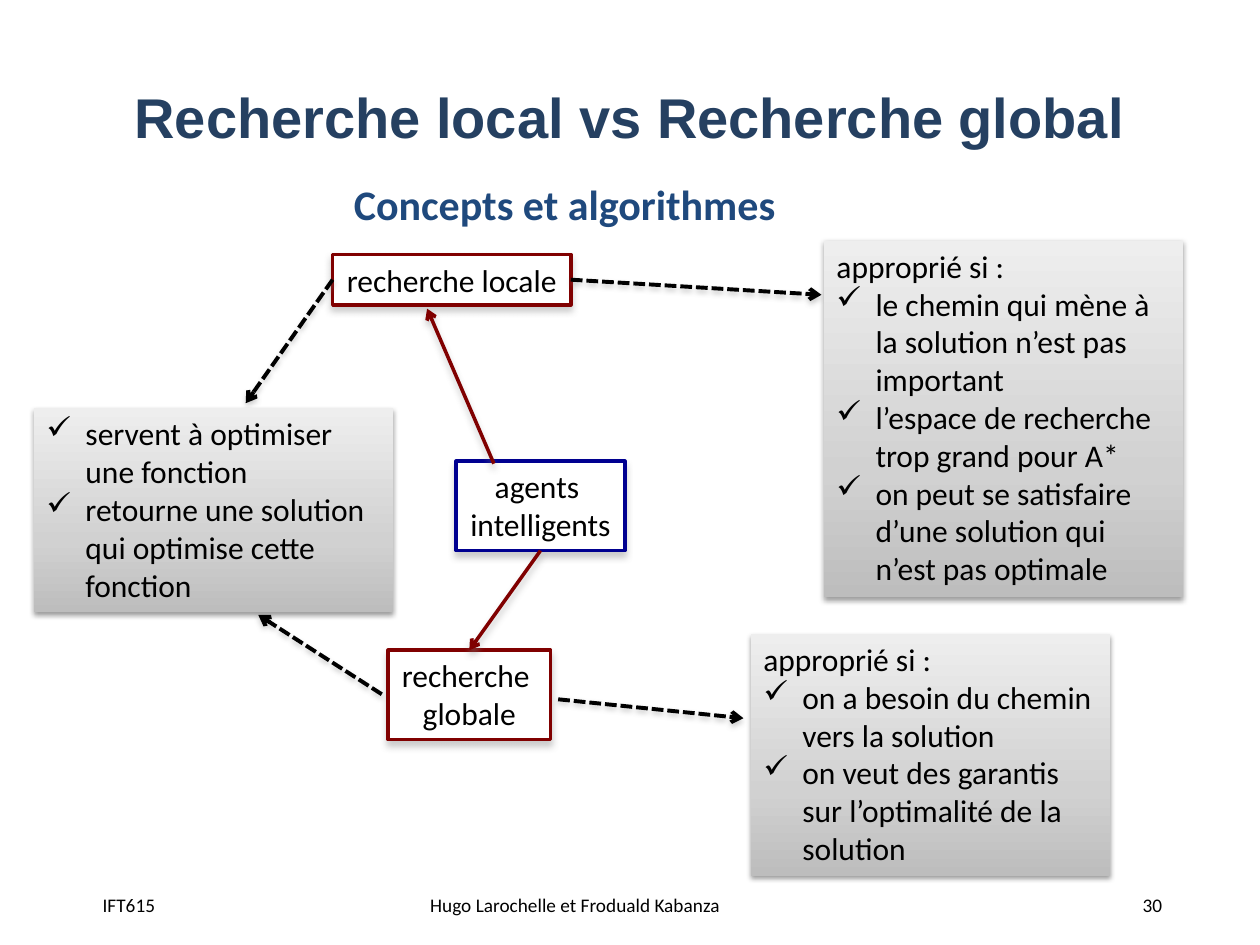
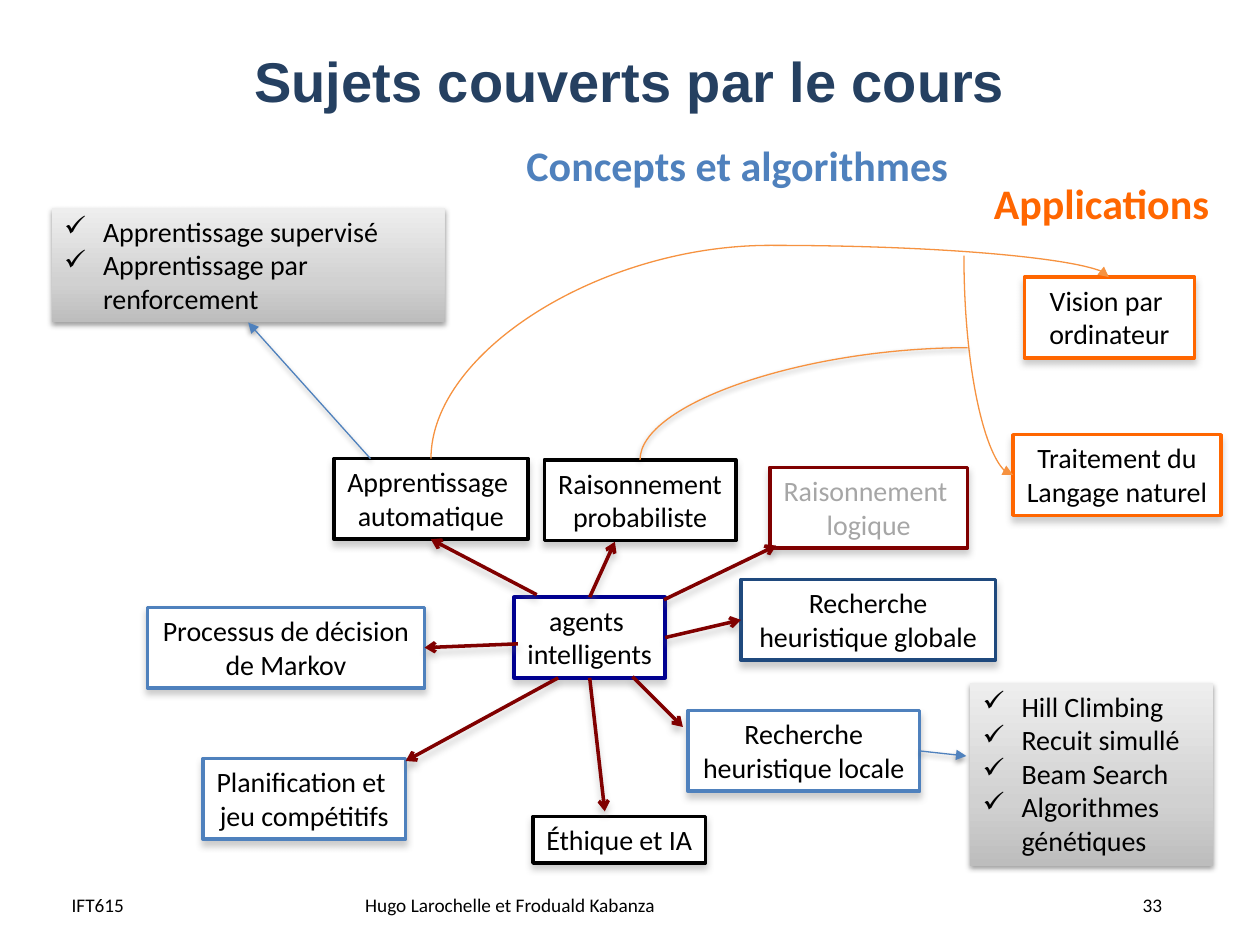
import copy
import math

from lxml import etree
from pptx import Presentation
from pptx.dml.color import RGBColor
from pptx.enum import dml, shapes, text
from pptx.oxml import ns
from pptx.util import Inches, Pt

BLACK = RGBColor(0x00, 0x00, 0x00)
WHITE = RGBColor(0xFF, 0xFF, 0xFF)
GREY = RGBColor(0xA6, 0xA6, 0xA6)
TITLE_BLUE = RGBColor(0x25, 0x40, 0x61)
DARK_BLUE = RGBColor(0x1F, 0x49, 0x7D)
BLUE = RGBColor(0x4F, 0x81, 0xBD)
NAVY = RGBColor(0x00, 0x00, 0x90)
MAROON = RGBColor(0x80, 0x00, 0x00)
ORANGE = RGBColor(0xFF, 0x66, 0x00)
LIGHT_ORANGE = RGBColor(0xF6, 0x92, 0x40)
NOTE_STOPS = [(0, RGBColor(0xBD, 0xBD, 0xBD)), (0.35, RGBColor(0xD1, 0xD1, 0xD1)),
              (1, RGBColor(0xEE, 0xEE, 0xEE))]

# Shadows: colour, opacity in percent, blur and distance in points
BOX_SHADOW = ("808080", 40, 4, 3)
DASH_SHADOW = ("808080", 38, 3.1, 1.6)
NOTE_SHADOW = ("000000", 38, 3.1, 1.6)

# Link styles
BRANCH = dict(color=MAROON, width=2, head="arrow", shadow=BOX_SHADOW)
DASHED = dict(color=BLACK, width=2.25, head="arrow", shadow=DASH_SHADOW, dashed=True)
DETAIL = dict(color=BLUE, width=0.75, head="triangle", shadow=NOTE_SHADOW)

TOP, LEFT, BOTTOM, RIGHT = range(4)
ALIGN_LEFT, CENTER, ALIGN_RIGHT = (
    text.PP_ALIGN.LEFT, text.PP_ALIGN.CENTER, text.PP_ALIGN.RIGHT)


def sub(parent, tag, **attributes):
    return etree.SubElement(parent, ns.qn(tag), attributes)


def add_shadow(properties, shadow):
    """Fill the effect list of a shape; none leaves it without a shadow."""
    effects = properties.find(ns.qn("a:effectLst"))
    if effects is None:
        effects = sub(properties, "a:effectLst")
    if shadow:
        color, opacity, blur, distance = shadow
        outer = sub(effects, "a:outerShdw", blurRad=str(Pt(blur)), dist=str(Pt(distance)),
                    dir="5400000", rotWithShape="0")
        sub(sub(outer, "a:srgbClr", val=color), "a:alpha", val=str(opacity * 1000))


def add_span(para, words, size, color, bold=False, face="Calibri"):
    for index, line in enumerate(words.split("\n")):
        if index:
            para.add_line_break()
        span = para.add_run()
        span.text = line
        span.font.name, span.font.size, span.font.bold = face, Pt(size), bold
        span.font.color.rgb = color


def paragraphs(frame, lines):
    for index, line in enumerate(lines):
        yield (frame.add_paragraph() if index else frame.paragraphs[0]), line


def label(page, place, words, size, color, align=ALIGN_LEFT, bold=False,
          face="Calibri", anchor=text.MSO_ANCHOR.TOP, wrap=True):
    frame = page.shapes.add_textbox(*map(Inches, place)).text_frame
    frame.word_wrap, frame.vertical_anchor = wrap, anchor
    frame.paragraphs[0].alignment = align
    add_span(frame.paragraphs[0], words, size, color, bold, face)


def rectangle(page, place, shadow, wrap):
    box = page.shapes.add_shape(shapes.MSO_SHAPE.RECTANGLE, *map(Inches, place))
    box.shadow.inherit = False
    add_shadow(box._element.spPr, shadow)
    box.text_frame.word_wrap = wrap
    box.text_frame.vertical_anchor = text.MSO_ANCHOR.TOP
    return box


def topic(page, place, lines, edge, size=16, color=BLACK, wrap=False):
    """White framed box with centred lines."""
    box = rectangle(page, place, BOX_SHADOW, wrap)
    box.fill.solid()
    box.fill.fore_color.rgb = WHITE
    box.line.color.rgb, box.line.width = edge, Pt(2)
    for para, line in paragraphs(box.text_frame, lines):
        para.alignment = CENTER
        add_span(para, line, size, color)
    return box


def note(page, place, items, size=16, heading=None):
    """Grey gradient box with an optional heading and ticked items."""
    box = rectangle(page, place, NOTE_SHADOW, True)
    box.line.fill.background()
    box.fill.gradient()
    box.fill.gradient_angle = 90
    stop_list = next(box._element.spPr.iter(ns.qn("a:gsLst")))
    stop_list.insert(1, copy.deepcopy(stop_list[0]))
    for stop, (position, color) in zip(box.fill.gradient_stops, NOTE_STOPS):
        stop.position, stop.color.rgb = position, color
    lines = ([heading] if heading else []) + items
    for para, line in paragraphs(box.text_frame, lines):
        para.alignment = ALIGN_LEFT
        if line != heading:
            settings = para._p.get_or_add_pPr()
            settings.set("marL", str(Inches(0.31)))
            settings.set("indent", str(Inches(-0.31)))
            sub(settings, "a:buChar", char="✓")
        add_span(para, line, size, BLACK)
    return box


def style_line(line, color, width, head=None, shadow=None, dashed=False):
    line.line.color.rgb, line.line.width = color, Pt(width)
    if dashed:
        line.line.dash_style = dml.MSO_LINE.SQUARE_DOT
    if head:
        sub(line.line._get_or_add_ln(), "a:tailEnd", type=head)
    add_shadow(line._element.spPr, shadow)


def link(page, start, end, style):
    """Straight arrow; each end is a point (x, y) or a (box, side) pair."""
    joined = [isinstance(tip[1], int) for tip in (start, end)]
    points = [(0, 0) if fixed else tip for tip, fixed in zip((start, end), joined)]
    line = page.shapes.add_connector(
        shapes.MSO_CONNECTOR.STRAIGHT, *map(Inches, points[0] + points[1]))
    if joined[0]:
        line.begin_connect(*start)
    if joined[1]:
        line.end_connect(*end)
    style_line(line, **style)


def curve(page, start, end, turn, bend=None, head="triangle", shadow=None):
    """Curved link turned by 90 or 270 degrees; bend gives it a middle crest."""
    middle_x, middle_y = (start[0] + end[0]) / 2, (start[1] + end[1]) / 2
    cos, sin = round(math.cos(math.radians(turn))), round(math.sin(math.radians(turn)))

    def unturned(point):
        dx, dy = point[0] - middle_x, point[1] - middle_y
        return middle_x + dx * cos + dy * sin, middle_y - dx * sin + dy * cos

    line = page.shapes.add_connector(
        shapes.MSO_CONNECTOR.CURVE, *map(Inches, unturned(start) + unturned(end)))
    properties = line._element.spPr
    properties.find(ns.qn("a:xfrm")).set("rot", str(turn * 60000))
    geometry = properties.find(ns.qn("a:prstGeom"))
    if bend is None:
        geometry.set("prst", "curvedConnector2")
    else:
        guides = geometry.find(ns.qn("a:avLst"))
        if guides is None:
            guides = sub(geometry, "a:avLst")
        sub(guides, "a:gd", name="adj1", fmla=f"val {round(bend * 100000)}")
    style_line(line, LIGHT_ORANGE, 0.75, head, shadow)


def start_page(deck, title, title_height, number, code_align, authors_align):
    page = deck.slides.add_slide(deck.slide_layouts[6])
    label(page, (0.5, 0.3, 9, title_height), title, 32, TITLE_BLUE, CENTER, True,
          "Arial", text.MSO_ANCHOR.MIDDLE)
    for left, width, words, align in [
            (2.8, 3.53, "Hugo Larochelle et Froduald Kabanza", authors_align),
            (0.47, 0.86, "IFT615", code_align),
            (8.97, 0.57, number, ALIGN_LEFT)]:
        label(page, (left, 7.04, width, 0.4), words, 11, BLACK, align)
    return page


def heading(page, left, top, width, words, color):
    label(page, (left, top, width, 0.5), words, 24, color, bold=True, wrap=False)


def search_page(deck):
    page = start_page(deck, "Recherche local vs Recherche global", 1.25, "30",
                      ALIGN_RIGHT, CENTER)
    heading(page, 2.71, 1.37, 3.58, "Concepts et algorithmes", DARK_BLUE)

    # Agents and the two kinds of search
    agents = topic(page, (3.62, 3.66, 1.34, 0.71), ["agents ", "intelligents"], NAVY, 18)
    global_search = topic(page, (3.08, 5.16, 1.29, 0.71), ["recherche ", "globale"],
                          MAROON, 18)
    local_search = topic(page, (2.64, 2.02, 1.89, 0.4), ["recherche locale"], MAROON, 18)
    link(page, (3.92, 3.68), (3.39, 2.45), BRANCH)
    link(page, (agents, BOTTOM), (global_search, TOP), BRANCH)

    # Properties of each search
    link(page, (local_search, LEFT), (1.95, 3.2), DASHED)
    link(page, (3.03, 5.51), (2.05, 4.88), DASHED)
    note(page, (0.27, 3.24, 2.85, 1.62),
         ["servent à optimiser \nune fonction",
          "retourne une solution\nqui optimise cette fonction"], 18)
    link(page, (local_search, RIGHT), (6.52, 2.34), DASHED)
    note(page, (6.54, 1.91, 2.85, 2.83),
         ["le chemin qui mène à la solution n’est pas important",
          "l’espace de recherche trop grand pour A*",
          "on peut se satisfaire d’une solution qui n’est pas optimale"],
         18, "approprié si :")
    note(page, (5.96, 5.03, 2.85, 1.92),
         ["on a besoin du chemin vers la solution",
          "on veut des garantis sur l’optimalité de la solution"], 18, "approprié si :")
    link(page, (4.43, 5.55), (5.9, 5.7), DASHED)


def topics_page(deck):
    page = start_page(deck, "Sujets couverts par le cours", 0.67, "33",
                      ALIGN_LEFT, ALIGN_LEFT)
    heading(page, 7.79, 1.36, 1.93, "Applications", ORANGE)
    heading(page, 4.08, 1.06, 3.58, "Concepts et algorithmes", BLUE)

    # Course topics
    agents = topic(page, (4.08, 4.74, 1.2, 0.64), ["agents ", "intelligents"], NAVY)
    topic(page, (6.11, 3.71, 1.57, 0.64), ["Raisonnement ", "logique"], MAROON, color=GREY)
    learning = topic(page, (2.65, 3.64, 1.54, 0.64), ["Apprentissage ", "automatique"], BLACK)
    markov = topic(page, (1.17, 4.82, 2.2, 0.64), ["Processus de décision ", "de Markov"],
                   BLUE, wrap=True)
    topic(page, (1.61, 6.02, 1.61, 0.64), ["Planification et ", "jeu compétitifs"], BLUE)
    local_search = topic(page, (5.46, 5.64, 1.84, 0.64), ["Recherche heuristique locale"],
                         BLUE, wrap=True)
    global_search = topic(page, (5.88, 4.6, 2.02, 0.64), ["Recherche heuristique globale"],
                          DARK_BLUE, wrap=True)
    topic(page, (4.23, 6.48, 1.37, 0.37), ["Éthique et IA"], BLACK)
    topic(page, (4.32, 3.65, 1.52, 0.64), ["Raisonnement", "probabiliste"], BLACK)

    # Branches from the agents
    for start, end in [
            ((agents, TOP), (4.88, 4.3)),
            ((4.26, 4.72), (learning, BOTTOM)),
            ((agents, RIGHT), (global_search, LEFT)),
            ((5.02, 5.37), (5.42, 5.77)),
            ((agents, BOTTOM), (4.8, 6.44)),
            ((4.11, 5.11), (markov, RIGHT)),
            ((4.43, 5.38), (3.22, 6.04)),
            ((5.27, 4.76), (6.16, 4.33))]:
        link(page, start, end, BRANCH)

    # Applications
    topic(page, (8.13, 2.2, 1.35, 0.64), ["Vision par ", "ordinateur"], ORANGE, wrap=True)
    topic(page, (8.04, 3.45, 1.65, 0.64), ["Traitement du", "Langage naturel"], ORANGE)
    curve(page, (3.42, 3.64), (8.8, 2.2), 90, bend=1.175)
    curve(page, (7.65, 2.03), (8.04, 3.77), 270)
    curve(page, (5.08, 3.65), (7.68, 2.76), 90, head=None, shadow=NOTE_SHADOW)

    # Details
    methods = note(page, (0.41, 1.65, 3.12, 0.91),
                   ["Apprentissage supervisé", "Apprentissage par renforcement"])
    link(page, (2.94, 3.64), (methods, BOTTOM), DETAIL)
    note(page, (7.7, 5.42, 1.93, 1.45),
         ["Hill Climbing", "Recuit simullé", "Beam Search", "Algorithmes génétiques"])
    link(page, (local_search, RIGHT), (7.67, 6.0), DETAIL)


def main():
    deck = Presentation()
    deck.slide_width, deck.slide_height = Inches(10), Inches(7.5)
    search_page(deck)
    topics_page(deck)
    deck.save("out.pptx")


if __name__ == "__main__":
    main()
